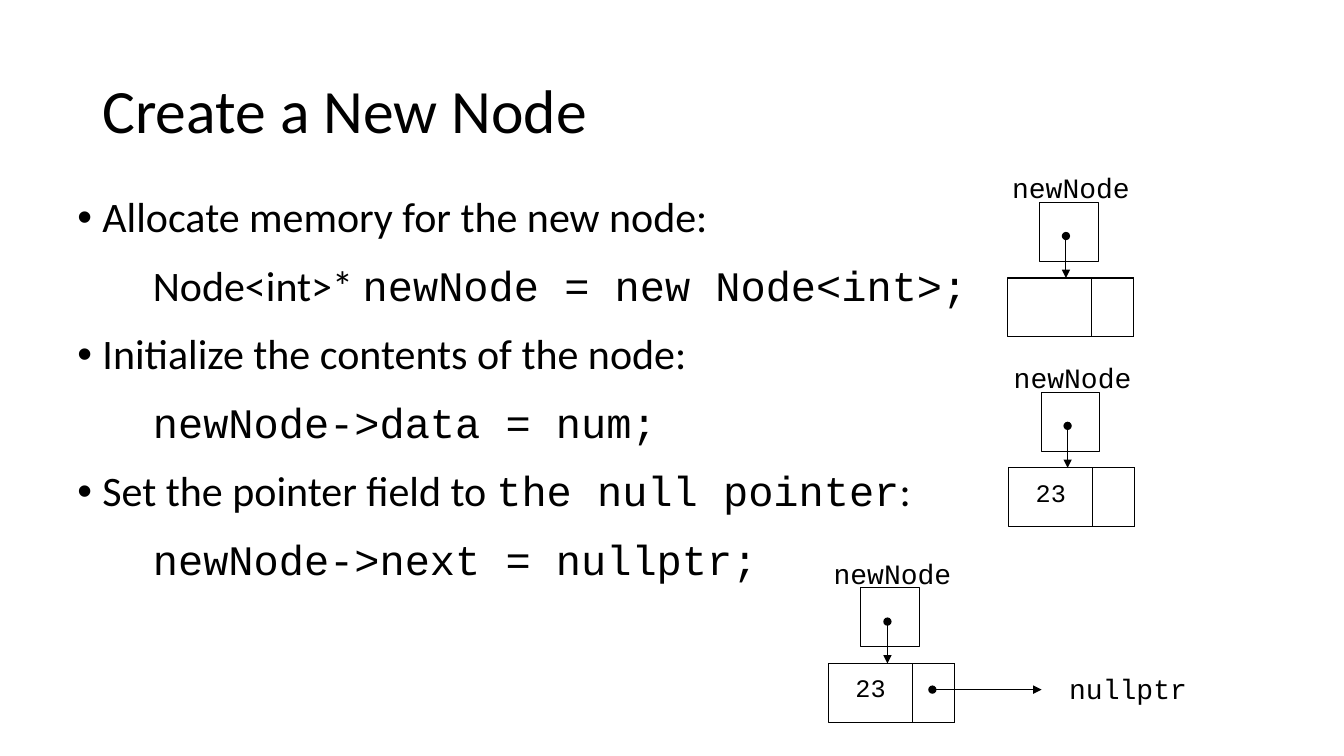
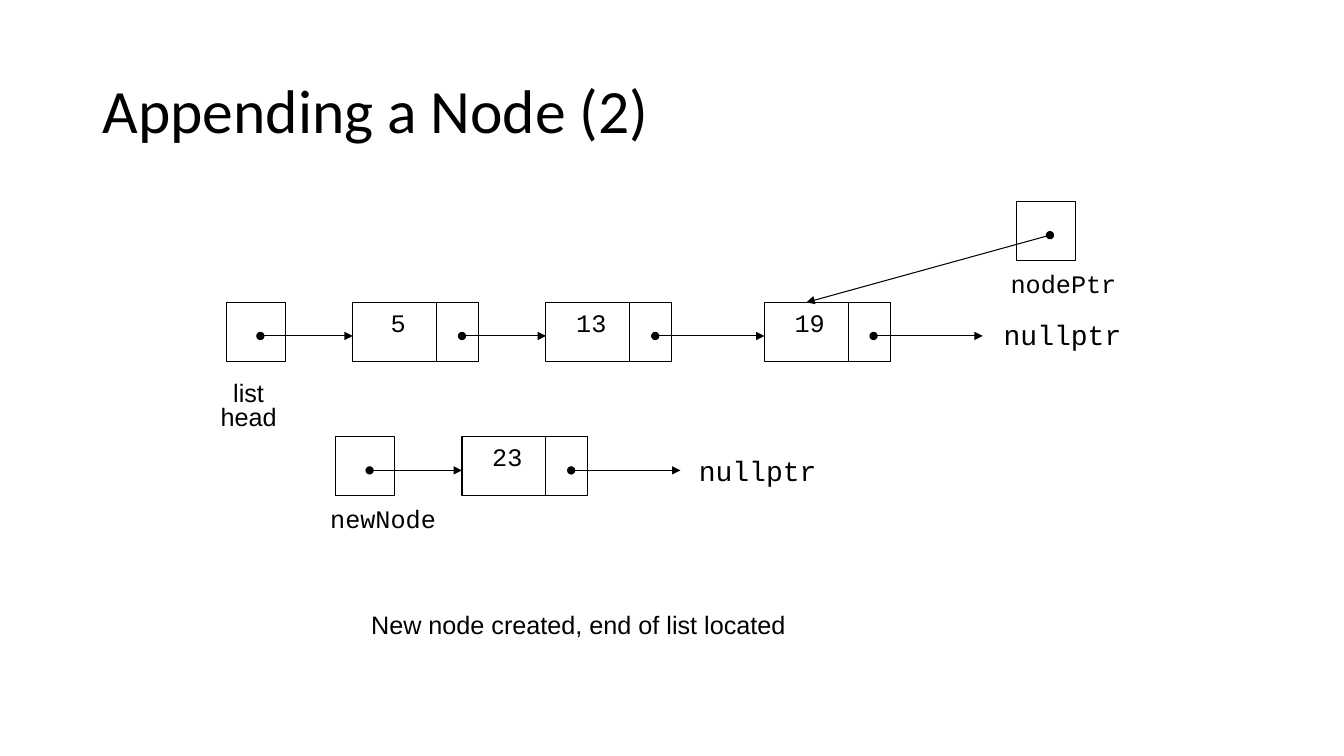
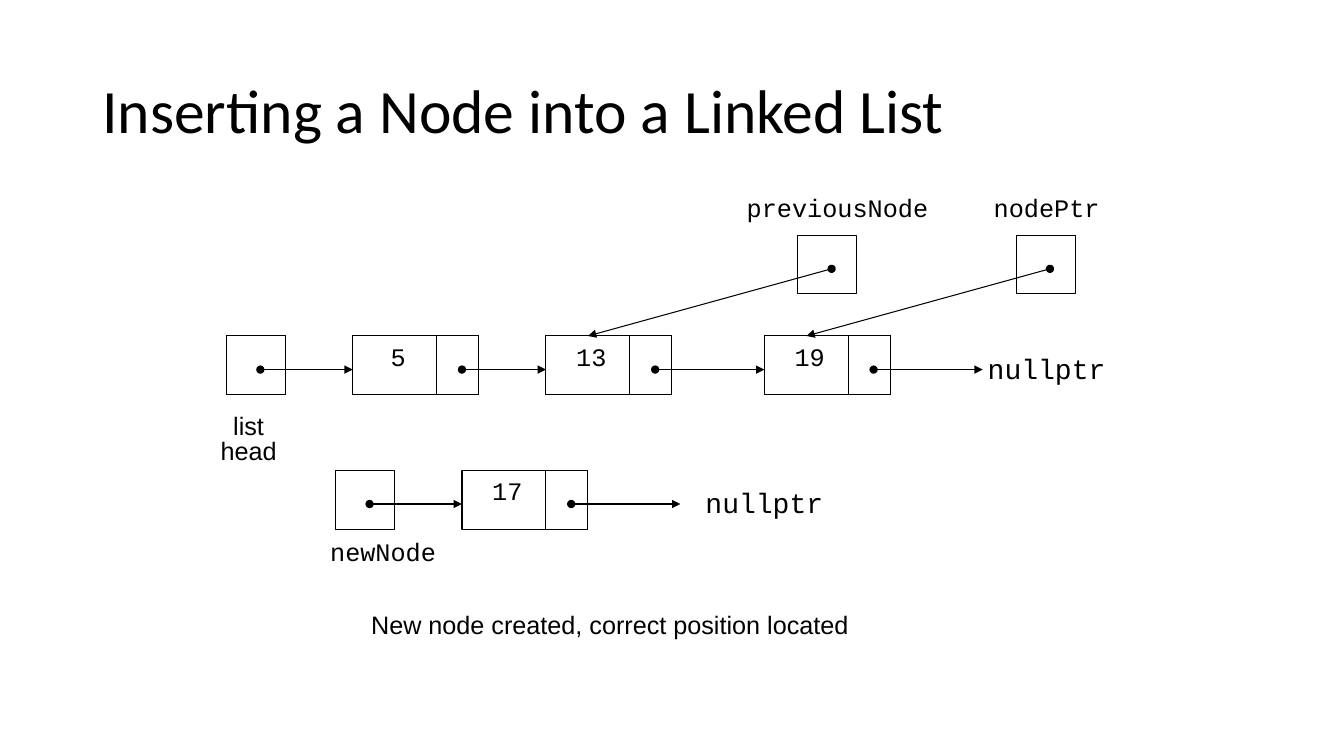
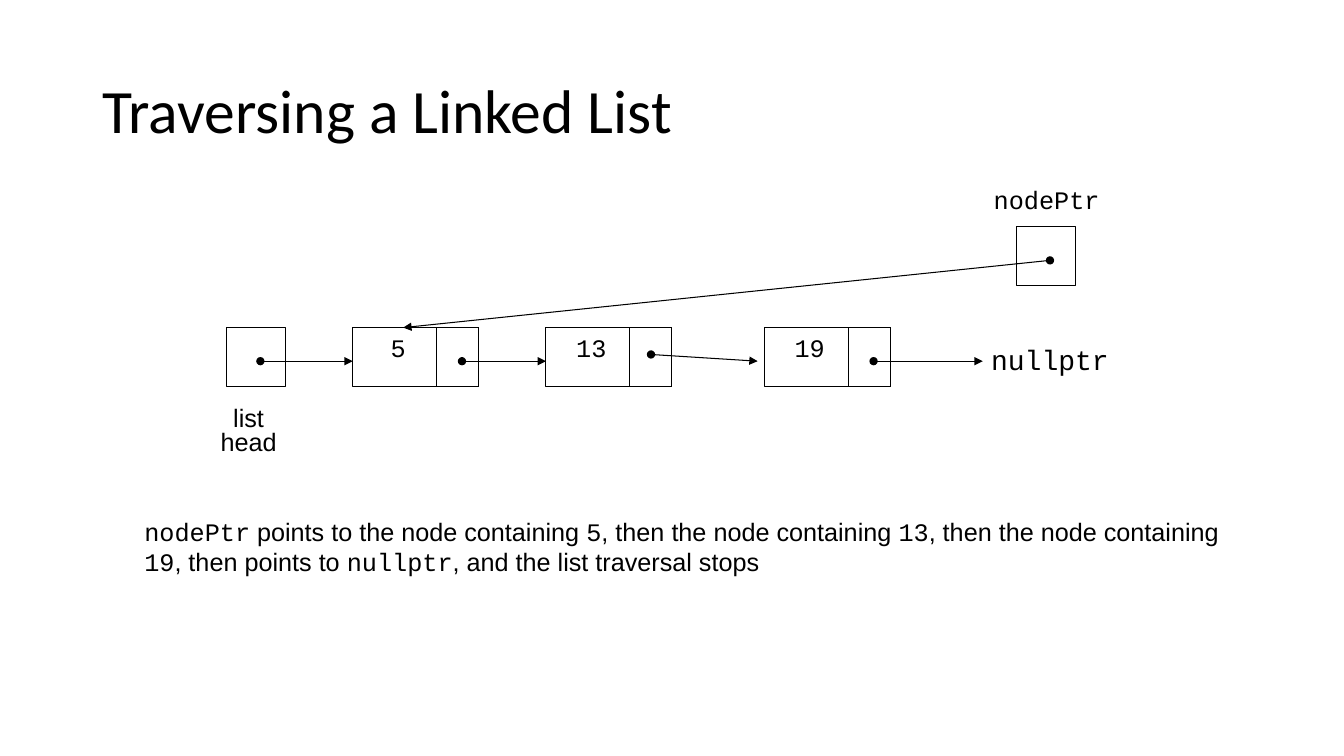
from dataclasses import dataclass
from typing import Any

from lxml import etree
from pptx import Presentation
from pptx.dml.color import RGBColor
from pptx.enum.shapes import MSO_CONNECTOR, MSO_SHAPE
from pptx.enum.text import MSO_ANCHOR, MSO_AUTO_SIZE, PP_ALIGN
from pptx.oxml.ns import qn
from pptx.util import Inches, Pt

RECT = MSO_SHAPE.RECTANGLE
STRAIGHT = MSO_CONNECTOR.STRAIGHT
LEFT, CENTER = PP_ALIGN.LEFT, PP_ALIGN.CENTER
MIDDLE, TOP = MSO_ANCHOR.MIDDLE, MSO_ANCHOR.TOP
NO_FIT, GROW = MSO_AUTO_SIZE.NONE, MSO_AUTO_SIZE.SHAPE_TO_FIT_TEXT
TITLE_AND_BODY, TITLE_ONLY = 1, 5
COLUMNS, ROWS = 160, 90
CELL, POINTER_CELL, NODE = 7, 5, 15


@dataclass(frozen=True)
class Theme:
    ink: RGBColor = RGBColor(0, 0, 0)
    sans: str = "Calibri"
    plain: str = "Arial"
    mono: str = "Courier New"
    title: int = 44
    body: int = 30
    large: int = 20
    small: int = 18
    line: float = 0.75


def assign(target, values):
    for name, value in values.items():
        setattr(target, name, value)


@dataclass
class Deck:
    prs: Any
    theme: Theme
    s: Any = None

    def box(self, x, y, w, h):
        dx, dy = self.prs.slide_width / COLUMNS, self.prs.slide_height / ROWS
        return [round(v) for v in (x * dx, y * dy, w * dx, h * dy)]

    def add_runs(self, p, runs, size, **paragraph):
        assign(p, paragraph)
        for text, font in runs:
            r = p.add_run()
            r.text = text
            assign(r.font, dict(name=font, size=Pt(size), bold=False))
            r.font.color.rgb = self.theme.ink

    def place(self, sp, *box):
        assign(sp, dict(zip(("left", "top", "width", "height"), self.box(*box))))

    def slide(self, title, layout=TITLE_ONLY):
        self.s = self.prs.slides.add_slide(self.prs.slide_layouts[layout])
        sp = self.s.shapes.title
        self.place(sp, 11, 4.8, 138, 17.4)
        tf = sp.text_frame
        assign(tf, dict(vertical_anchor=MIDDLE, auto_size=NO_FIT, word_wrap=True))
        self.add_runs(tf.paragraphs[0], [(title, self.theme.sans)], self.theme.title,
                      alignment=LEFT, line_spacing=0.9)

    def body(self, items):
        sp = self.s.placeholders[1]
        self.place(sp, 8, 22.8, 120, 51.4)
        tf = sp.text_frame
        assign(tf, dict(vertical_anchor=TOP, auto_size=NO_FIT, word_wrap=True))
        for i, (level, runs) in enumerate(items):
            p = tf.add_paragraph() if i else tf.paragraphs[0]
            self.add_runs(p, runs, self.theme.body, level=level, alignment=LEFT, line_spacing=0.9,
                          space_before=Pt(0.55 * self.theme.body if i else 0))
            pPr = p._p.get_or_add_pPr()
            margin, indent = (0.75, 0) if level else (0.25, -0.25)
            pPr.set("marL", str(Inches(margin)))
            pPr.set("indent", str(Inches(indent)))
            if level:
                etree.SubElement(pPr, qn("a:buNone"))
            else:
                etree.SubElement(pPr, qn("a:buFont")).set("typeface", self.theme.plain)
                etree.SubElement(pPr, qn("a:buChar")).set("char", "•")

    def rect(self, x, y, w=CELL, h=CELL):
        sp = self.s.shapes.add_shape(RECT, *self.box(x, y, w, h))
        sp.shadow.inherit = False
        sp.fill.background()
        sp.line.color.rgb = self.theme.ink
        sp.line.width = Pt(self.theme.line)

    def arrow(self, x1, y1, x2, y2):
        cx = self.s.shapes.add_connector(STRAIGHT, *self.box(x1, y1, x2, y2))
        cx.line.color.rgb = self.theme.ink
        cx.line.width = Pt(self.theme.line)
        spPr = cx._element.spPr
        ln = spPr.get_or_add_ln()
        for end, kind in (("a:headEnd", "oval"), ("a:tailEnd", "triangle")):
            etree.SubElement(ln, qn(end)).set("type", kind)
        etree.SubElement(spPr, qn("a:effectLst"))

    def label(self, center, y, text, size=None, font=None, spacing=0.8):
        size = size or self.theme.small
        lines = text.split("\n")
        w = max(map(len, lines)) * size / 10 + 2.4
        h = len(lines) * size * spacing * 0.19 + 1.2
        tf = self.s.shapes.add_textbox(*self.box(center - w / 2, y, w, h)).text_frame
        assign(tf, dict(word_wrap=False, auto_size=GROW))
        for i, line in enumerate(lines):
            p = tf.add_paragraph() if i else tf.paragraphs[0]
            self.add_runs(p, [(line, font or self.theme.mono)], size,
                          alignment=CENTER, line_spacing=spacing)

    def null(self, center, y):
        self.label(center, y, "nullptr", self.theme.large, spacing=1.2)

    def note(self, x, y, w, runs, h=4.8):
        tf = self.s.shapes.add_textbox(*self.box(x, y, w, h)).text_frame
        assign(tf, dict(word_wrap=True, auto_size=GROW))
        self.add_runs(tf.paragraphs[0], runs, self.theme.small)

    def node(self, x, y, value="", dx=5.4, dy=0):
        self.rect(x, y, NODE)
        self.rect(x + NODE - POINTER_CELL, y, POINTER_CELL)
        if value:
            self.label(x + dx, y + dy, value, spacing=1)

    def pointer(self, x, y, to_x, to_y):
        self.rect(x, y)
        self.arrow(x + 4, y + 4, to_x, to_y)

    def link(self, x, y, to_x):
        self.arrow(x + 13, y + 4, to_x, y + 4)

    def new_node(self, x, y, value=""):
        self.node(x, y, value, 5, 0.5)
        self.rect(x + 3.85, y - 9)
        self.arrow(x + 7, y - 5, x + 7, y)
        self.label(x + 7.6, y - 12.6, "newNode", self.theme.large)

    def linked_list(self, y, null_center, slanted=False):
        self.pointer(27, y, 42, y + 4)
        self.label(29.6, y + 9, "list\nhead", font=self.theme.plain)
        for x, to_x, value in ((42, 65, "5"), (65, 91, "13"), (91, 117, "19")):
            self.node(x, y, value)
            if slanted and value == "13":
                self.arrow(x + 12.5, y + 3.2, to_x - 0.8, y + 4)
            else:
                self.link(x, y, to_x)
        self.null(null_center, y + 0.4)

    def detached(self, y, value, null_center, null_y):
        self.pointer(40, y, 55, y + 4)
        self.label(45.6, y + 8, "newNode")
        self.node(55, y, value)
        self.link(55, y, 81)
        self.null(null_center, null_y)


theme = Theme()
prs = Presentation()
prs.slide_width, prs.slide_height = Inches(COLUMNS / 12), Inches(ROWS / 12)
deck = Deck(prs, theme)
sans, plain, mono = theme.sans, theme.plain, theme.mono

deck.slide("Create a New Node", TITLE_AND_BODY)
deck.body([
    (0, [("Allocate memory for the new node:", sans)]),
    (1, [("Node<int>* ", sans), ("newNode = new Node<int>;", mono)]),
    (0, [("Initialize the contents of the node:", sans)]),
    (1, [("newNode->data = num;", mono)]),
    (0, [("Set the pointer field to ", sans), ("the null pointer", mono), (":", sans)]),
    (1, [("newNode->next = nullptr;", mono)]),
])
for x, y, value in ((119.9, 33.1, ""), (120.1, 55.7, "23"), (98.65, 79, "23")):
    deck.new_node(x, y, value)
deck.arrow(111, 82.1, 124, 82.1)
deck.null(134.3, 78.5)

deck.slide("Appending a Node (2)")
deck.linked_list(36, 126.5)
deck.detached(52, "23", 90.2, 52.6)
deck.pointer(121, 24, 96, 36)
deck.label(126.6, 32, "nodePtr")
deck.note(43, 72, 66, [("New node created, end of list located", plain)])

deck.slide("Inserting a Node into a Linked List")
deck.linked_list(40, 124.6)
deck.detached(56, "17", 91, 56.4)
for x, to_x, center, name in ((121, 96, 124.6, "nodePtr"), (95, 70, 99.7, "previousNode")):
    deck.pointer(x, 28, to_x, 40)
    deck.label(center, 23, name)
deck.note(43, 72, 66, [("New node created, correct position located", plain)])

deck.slide("Traversing a Linked List")
deck.linked_list(39, 125, slanted=True)
deck.pointer(121, 27, 48, 39)
deck.label(124.6, 22, "nodePtr")
deck.note(16, 60.85, 131, [
    ("nodePtr", mono), (" points to the node containing ", plain),
    ("5", mono), (", then the node containing ", plain),
    ("13", mono), (", then the node containing ", plain),
    ("19", mono), (", then points to ", plain),
    ("nullptr", mono), (", and the list traversal stops", plain),
], 8.5)

prs.save("out.pptx")
